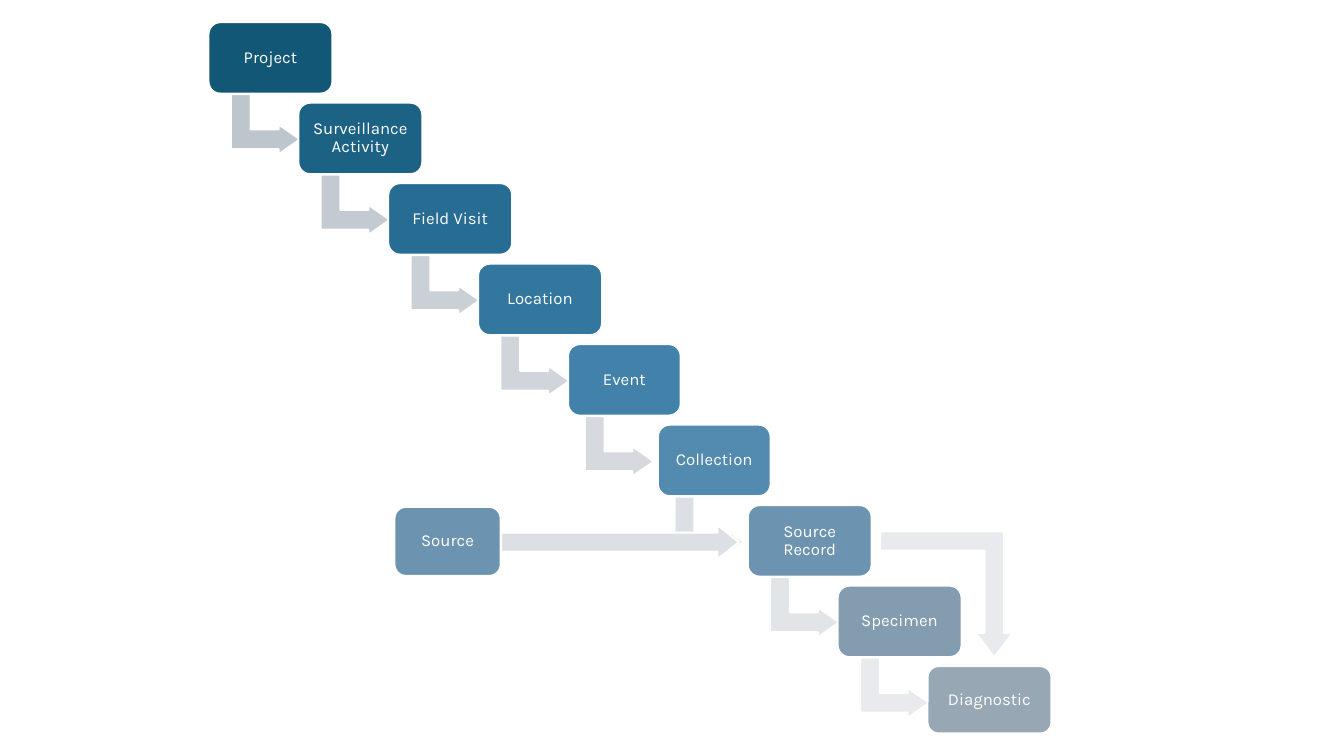
from dataclasses import dataclass

from pptx import Presentation
from pptx.dml.color import RGBColor
from pptx.enum.shapes import MSO_SHAPE as Shape
from pptx.enum.text import MSO_ANCHOR as Anchor, PP_ALIGN as Align
from pptx.util import Pt


@dataclass(frozen=True)
class Theme:
    """Colours, font and type size of the slide."""
    white: str = "FFFFFF"
    font: str = "Karla"
    label_size: float = 12
    outline: float = 1.5
    source_box: str = "6C93AF"
    source_arrow: str = "DCE0E4"
    diagnostic_arrow: str = "E8EAED"


class Cascade:
    """Draws boxes and arrows on one page in one style."""

    def __init__(self, page, theme):
        self.page = page
        self.theme = theme

    def shape(self, kind, left, top, width, height, fill, adjustments):
        """Add a filled shape with the white outline."""
        shape = self.page.shapes.add_shape(kind, Pt(left), Pt(top), Pt(width), Pt(height))
        shape.shadow.inherit = False
        shape.fill.solid()
        shape.fill.fore_color.rgb = RGBColor.from_string(fill)
        shape.line.color.rgb = RGBColor.from_string(self.theme.white)
        shape.line.width = Pt(self.theme.outline)
        for index, value in enumerate(adjustments):
            shape.adjustments[index] = value
        return shape

    def box(self, label, left, top, width, height, fill):
        """Add a rounded box with a centred label."""
        box = self.shape(Shape.ROUNDED_RECTANGLE, left, top, width, height, fill, [0.167])
        frame = box.text_frame
        frame.word_wrap = True
        frame.vertical_anchor = Anchor.MIDDLE
        frame.margin_left = frame.margin_right = Pt(3.6)
        frame.margin_top = frame.margin_bottom = Pt(3.6)
        frame.text = label
        para = frame.paragraphs[0]
        para.alignment = Align.CENTER
        para.line_spacing = 0.9
        font = para.runs[0].font
        font.name = self.theme.font
        font.size = Pt(self.theme.label_size)
        font.color.rgb = RGBColor.from_string(self.theme.white)

    def bent_arrow(self, left, top, width, height, fill, adjustments, rotation, mirrored=False):
        """Add an elbow arrow, turned and optionally mirrored."""
        arrow = self.shape(Shape.BENT_UP_ARROW, left, top, width, height, fill, adjustments)
        arrow.rotation = rotation
        if mirrored:
            arrow._element.spPr.xfrm.set("flipH", "1")

    def straight_arrow(self, left, top, width, height, fill, adjustments):
        """Add an arrow pointing right."""
        self.shape(Shape.RIGHT_ARROW, left, top, width, height, fill, adjustments)


WIDE, NARROW = 88.6, 80.6
BOX_HEIGHT, LAST_HEIGHT = 51.1, 48.2
LEFT, TOP = 148.9, 15.8
STEP_X, STEP_Y = 64.2, 57.5
STAGES = [
    ("Project", WIDE, "135776", "BDC5CD"),
    ("Surveillance Activity", WIDE, "1C6285", "C3CAD2"),
    ("Field Visit", WIDE, "276D93", "C9D0D6"),
    ("Location", WIDE, "34779E", "CFD5DB"),
    ("Event", NARROW, "4281A9", "D6DADF"),
    ("Collection", NARROW, "538AAF", "DCE0E4"),
    ("Source Record", WIDE, "6C93AF", "E2E5E8"),
    ("Specimen", WIDE, "839CB0", "E8EAED"),
    ("Diagnostic", WIDE, "98A7B4", None),
]


def main():
    """Build the deck and save it."""
    deck = Presentation()
    deck.slide_width, deck.slide_height = Pt(960), Pt(540)
    page = deck.slides.add_slide(deck.slide_layouts[6])
    theme = Theme()
    cascade = Cascade(page, theme)

    for index, (label, width, fill, arrow_fill) in enumerate(STAGES):
        left, top = LEFT + index * STEP_X, TOP + index * STEP_Y
        if arrow_fill:
            cascade.bent_arrow(left + width / 2 - 25.2, top + 48.2, 43.2, 49.5,
                               arrow_fill, [0.328, 0.25, 0.358], 90)
        height = BOX_HEIGHT if arrow_fill else LAST_HEIGHT
        cascade.box(label, left, top, width, height, fill)

    cascade.box("Source", 281.7, 362, 76, 49.4, theme.source_box)
    cascade.straight_arrow(358, 375, 170, 24.5, theme.source_arrow, [0.554, 0.635])
    cascade.bent_arrow(628.6, 379.5, 95, 90, theme.diagnostic_arrow,
                       [0.153, 0.149, 0.195], 180, mirrored=True)
    deck.save("out.pptx")


if __name__ == "__main__":
    main()
